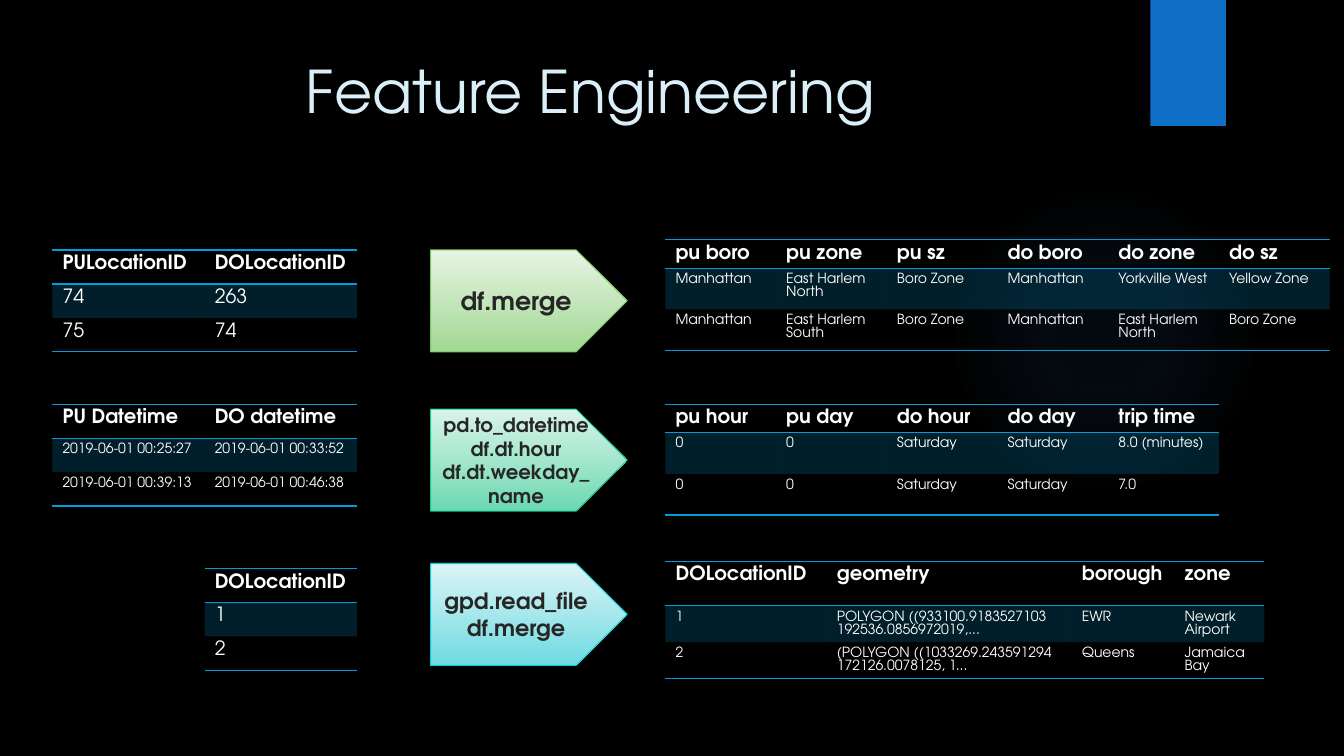
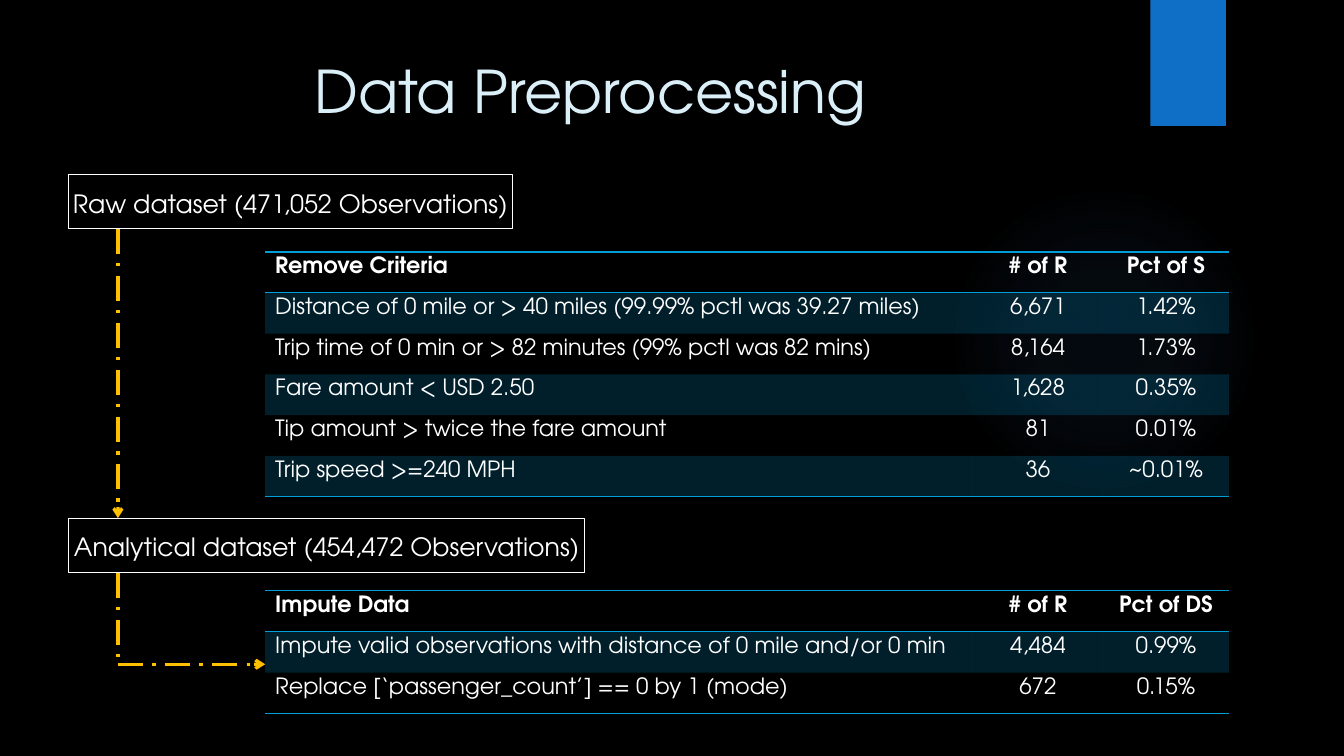
from lxml import etree
from pptx import Presentation
from pptx.dml.color import RGBColor
from pptx.enum.dml import MSO_LINE
from pptx.enum.shapes import MSO_CONNECTOR, MSO_SHAPE
from pptx.enum.text import MSO_ANCHOR, PP_ALIGN
from pptx.oxml import parse_xml
from pptx.oxml.ns import nsdecls, qn
from pptx.util import Inches, Pt

FONT = "TeX Gyre Adventor"
BLACK, WHITE, DARK = "000000", "FFFFFF", "262626"
TITLE, BAND, GLOW = "DBEFF9", "0F6FC6", "448AD7"
ACCENT, FLOW = "009DD9", "FFC000"
PLAIN_TABLE = "{2D5ABB26-0587-4C30-8999-92F81FD0307C}"

# Feature Engineering: left, top, column widths, row heights, body size, rows
ID_ROWS = [1.01 / 3] * 3
RESULT_ROWS = [0.28, 0.41, 0.41]
RESULT_COLUMN = 6.59 / 6
FEATURE_TABLES = [
    (0.52, 2.48, [1.51] * 2, ID_ROWS, 14, [
        ("PULocationID", "DOLocationID"),
        ("74", "263"),
        ("75", "74")]),
    (6.6, 2.38, [RESULT_COLUMN] * 6, RESULT_ROWS, 10, [
        ("pu boro", "pu zone", "pu sz", "do boro", "do zone", "do sz"),
        ("Manhattan", "East Harlem North", "Boro Zone",
         "Manhattan", "Yorkville West", "Yellow Zone"),
        ("Manhattan", "East Harlem South", "Boro Zone",
         "Manhattan", "East Harlem North", "Boro Zone")]),
    (0.52, 4.01, [1.51] * 2, ID_ROWS, 10, [
        ("PU Datetime", "DO datetime"),
        ("2019-06-01 00:25:27", "2019-06-01 00:33:52"),
        ("2019-06-01 00:39:13", "2019-06-01 00:46:38")]),
    (6.6, 4.01, [RESULT_COLUMN] * 5, RESULT_ROWS, 10, [
        ("pu hour", "pu day", "do hour", "do day", "trip time"),
        ("0", "0", "Saturday", "Saturday", "8.0 (minutes)"),
        ("0", "0", "Saturday", "Saturday", "7.0")]),
    (2.03, 5.64, [1.51], ID_ROWS, 14, [("DOLocationID",), ("1",), ("2",)]),
    (6.6, 5.57, [1.6, 2.43, 1.02, 0.89], [0.44, 0.36, 0.36], 10, [
        ("DOLocationID", "geometry", "borough", "zone"),
        ("1", "POLYGON ((933100.9183527103 192536.0856972019,...",
         "EWR", "Newark Airport"),
        ("2", "(POLYGON ((1033269.243591294 172126.0078125, 1...",
         "Queens", "Jamaica Bay")]),
]
# top, text size, gradient start, gradient end, outline, lines
STEPS = [
    (2.48, 18, "E7F4E4", "A1D892", "7CCA62", ["df.merge"]),
    (4.06, 14, "D9F3E8", "6DD9B2", "10CF9B",
     ["pd.to_datetime", "df.dt.hour", "df.dt.weekday_name"]),
    (5.59, 16, "DCF4F6", "6FDBE2", "0BD0D9", ["gpd.read_file", "df.merge"]),
]

# Data Preprocessing: top, height, rows
CLEANING_TABLES = [
    (2.5, 2.43, [
        ("Remove Criteria", "# of R", "Pct of S"),
        ("Distance of 0 mile or > 40 miles (99.99% pctl was 39.27 miles)",
         "6,671", "1.42%"),
        ("Trip time of 0 min or > 82 minutes (99% pctl was 82 mins)",
         "8,164", "1.73%"),
        ("Fare amount < USD 2.50", "1,628", "0.35%"),
        ("Tip amount > twice the fare amount", "81", "0.01%"),
        ("Trip speed >=240 MPH", "36", "~0.01%")]),
    (5.86, 1.22, [
        ("Impute Data", "# of R", "Pct of DS"),
        ("Impute valid observations with distance of 0 mile and/or 0 min",
         "4,484", "0.99%"),
        ("Replace [‘passenger_count’] == 0 by 1 (mode)", "672", "0.15%")]),
]
# top, width, text
DATASETS = [
    (1.73, 4.4, "Raw dataset (471,052 Observations)"),
    (5.14, 5.12, "Analytical dataset (454,472 Observations)"),
]
# start, end, arrowhead
FLOW_LINES = [
    ((1.17, 2.27), (1.17, 5.14), True),
    ((1.17, 5.68), (1.17, 6.59), False),
    ((1.17, 6.59), (2.63, 6.59), True),
]


def rgb(color):
    return RGBColor.from_string(color)


def write(paragraph, text, size, color, bold=False, align=PP_ALIGN.LEFT):
    paragraph.alignment = align
    run = paragraph.add_run()
    run.text = text
    font = run.font
    font.name, font.size, font.bold = FONT, Pt(size), bold
    font.color.rgb = rgb(color)


def add_shape(slide, kind, left, top, width, height, fill=None, line=None):
    shape = slide.shapes.add_shape(
        kind, Inches(left), Inches(top), Inches(width), Inches(height))
    shape.shadow.inherit = False
    if fill:
        shape.fill.solid()
        shape.fill.fore_color.rgb = rgb(fill)
    else:
        shape.fill.background()
    if line:
        shape.line.color.rgb = rgb(line)
        shape.line.width = Pt(0.75)
    else:
        shape.line.fill.background()
    return shape


def fill_with_glow(shape):
    stops = "".join(
        f'<a:gs pos="{position}000"><a:srgbClr val="{GLOW}">'
        f'<a:alpha val="{alpha}000"/></a:srgbClr></a:gs>'
        for position, alpha in [(0, 7), (36, 6), (69, 0)])
    gradient = parse_xml(
        f'<a:gradFill {nsdecls("a")}><a:gsLst>{stops}</a:gsLst>'
        '<a:path path="circle"><a:fillToRect l="50000" t="50000" '
        'r="50000" b="50000"/></a:path></a:gradFill>')
    properties = shape.element.spPr
    properties.replace(properties.find(qn("a:noFill")), gradient)


def style_layout(layout, slide):
    """Give the layout its background, glow, band and title place."""
    layout.background.fill.solid()
    layout.background.fill.fore_color.rgb = rgb(BLACK)
    glow = add_shape(slide, MSO_SHAPE.OVAL, 9.41, 1.83, 3.08, 3.08)
    fill_with_glow(glow)
    band = add_shape(slide, MSO_SHAPE.RECTANGLE, 11.41, 0, 0.75, 1.25, BAND)
    for position, shape in enumerate((glow, band), start=2):
        layout.shapes.element.insert(position, shape.element)
    title = layout.placeholders[0]
    title.left, title.top = Inches(0.71), Inches(0.49)
    title.width, title.height = Inches(10.29), Inches(1.53)
    title.text_frame.vertical_anchor = MSO_ANCHOR.TOP


def add_title(slide, text):
    write(slide.shapes.title.text_frame.paragraphs[0], text, 42, TITLE,
          align=PP_ALIGN.CENTER)


def set_borders(cell, above, below):
    """Rule the cell above and below, or clear those edges."""
    ruled = f'<a:solidFill><a:srgbClr val="{ACCENT}"/></a:solidFill>'
    for position, (side, shown) in enumerate([("lnT", above), ("lnB", below)]):
        cell._tc.get_or_add_tcPr().insert(position, parse_xml(
            f'<a:{side} {nsdecls("a")} w="12700">'
            f'{ruled if shown else "<a:noFill/>"}</a:{side}>'))


def shade(cell):
    cell.fill.solid()
    cell.fill.fore_color.rgb = rgb(ACCENT)
    color = cell._tc.tcPr.find(".//" + qn("a:srgbClr"))
    etree.SubElement(color, qn("a:alpha")).set("val", "20000")


def add_table(slide, left, top, widths, heights, rows, header_size, body_size,
              number_align=PP_ALIGN.LEFT):
    """Add a ruled table whose odd body rows are shaded."""
    table = slide.shapes.add_table(
        len(rows), len(widths), Inches(left), Inches(top),
        Inches(sum(widths)), Inches(sum(heights))).table
    table.first_row = table.horz_banding = False
    table._tbl.tblPr.find(qn("a:tableStyleId")).text = PLAIN_TABLE
    for column, width in zip(table.columns, widths):
        column.width = Inches(width)
    for row_index, texts in enumerate(rows):
        table.rows[row_index].height = Inches(heights[row_index])
        header = row_index == 0
        last = row_index == len(rows) - 1
        for column_index, text in enumerate(texts):
            cell = table.cell(row_index, column_index)
            write(cell.text_frame.paragraphs[0], text,
                  header_size if header else body_size, WHITE, header,
                  number_align if column_index else PP_ALIGN.LEFT)
            if row_index % 2:
                shade(cell)
            else:
                cell.fill.background()
            set_borders(cell, above=row_index <= 1, below=header or last)


def add_step(slide, top, size, start, end, outline, lines):
    step = add_shape(slide, MSO_SHAPE.PENTAGON, 4.27, top, 1.95, 1.01,
                     line=outline)
    step.fill.gradient()
    step.fill.gradient_angle = 270
    for stop, color, position in zip(step.fill.gradient_stops,
                                     (start, end), (0, 1)):
        stop.color.rgb = rgb(color)
        stop.position = position
    frame = step.text_frame
    frame.word_wrap = True
    frame.vertical_anchor = MSO_ANCHOR.MIDDLE
    for index, text in enumerate(lines):
        paragraph = frame.add_paragraph() if index else frame.paragraphs[0]
        write(paragraph, text, size, DARK, True, PP_ALIGN.CENTER)


def add_dataset(slide, top, width, text):
    box = add_shape(slide, MSO_SHAPE.RECTANGLE, 0.68, top, width, 0.54,
                    line=WHITE)
    frame = box.text_frame
    frame.word_wrap = False
    frame.vertical_anchor = MSO_ANCHOR.MIDDLE
    frame.margin_top = Inches(0.08)
    write(frame.paragraphs[0], text, 18, WHITE, align=PP_ALIGN.CENTER)


def add_flow_line(slide, start, end, arrowhead):
    connector = slide.shapes.add_connector(
        MSO_CONNECTOR.STRAIGHT, *map(Inches, start + end))
    line = connector.line
    line.color.rgb = rgb(FLOW)
    line.width = Pt(2.25)
    line.dash_style = MSO_LINE.LONG_DASH_DOT
    properties = connector.element.spPr
    if arrowhead:
        outline = properties.find(qn("a:ln"))
        etree.SubElement(outline, qn("a:tailEnd")).set("type", "arrow")
    etree.SubElement(properties, qn("a:effectLst"))


def build_features(slide):
    add_title(slide, "Feature Engineering")
    for left, top, widths, heights, body_size, rows in FEATURE_TABLES:
        add_table(slide, left, top, widths, heights, rows, 14, body_size)
    for step in STEPS:
        add_step(slide, *step)


def build_preprocessing(slide):
    add_title(slide, "Data Preprocessing")
    for top, height, rows in CLEANING_TABLES:
        add_table(slide, 2.63, top, [7.02, 1.29, 1.25],
                  [height / len(rows)] * len(rows),
                  rows, 16, 16, PP_ALIGN.CENTER)
    for dataset in DATASETS:
        add_dataset(slide, *dataset)
    for flow_line in FLOW_LINES:
        add_flow_line(slide, *flow_line)


def main():
    presentation = Presentation()
    presentation.slide_width = Inches(13.33)
    presentation.slide_height = Inches(7.5)
    layout = presentation.slide_layouts.get_by_name("Title Only")
    slides = [presentation.slides.add_slide(layout) for _ in range(2)]
    style_layout(layout, slides[0])
    build_features(slides[0])
    build_preprocessing(slides[1])
    presentation.save("out.pptx")


if __name__ == "__main__":
    main()
